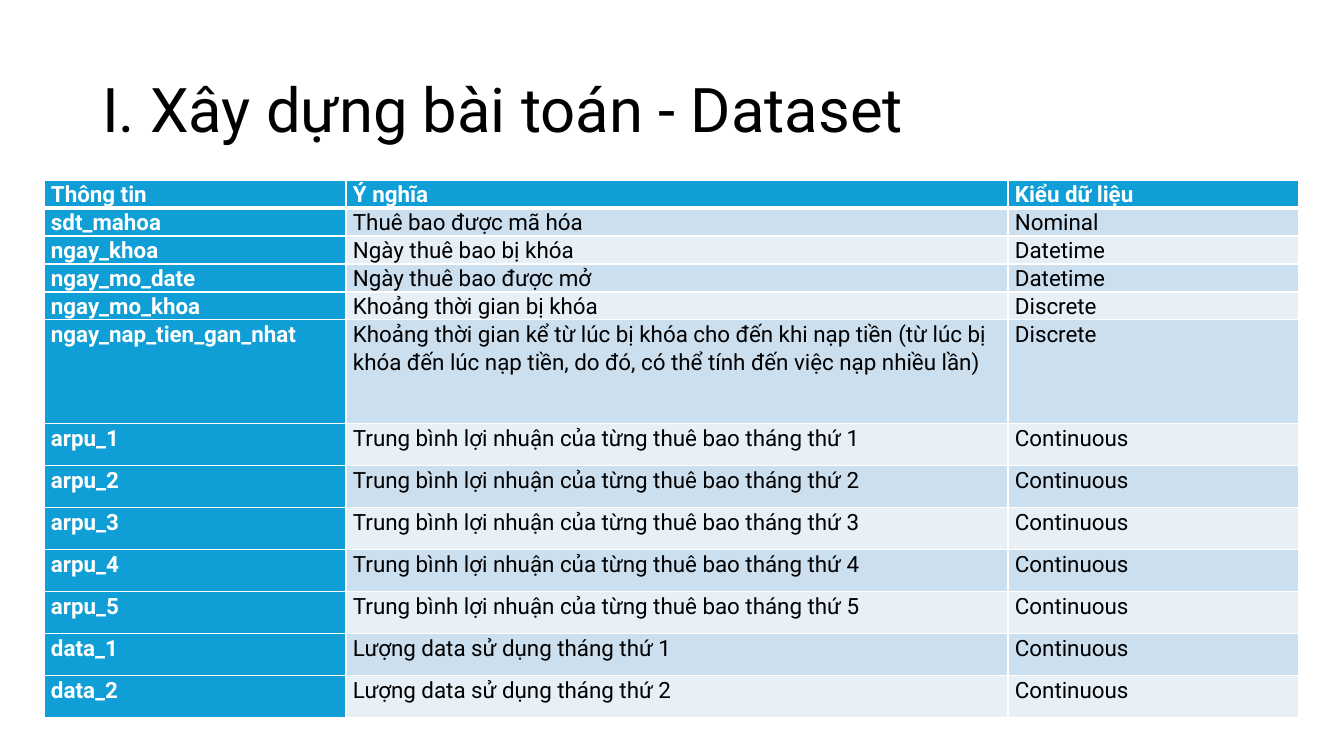
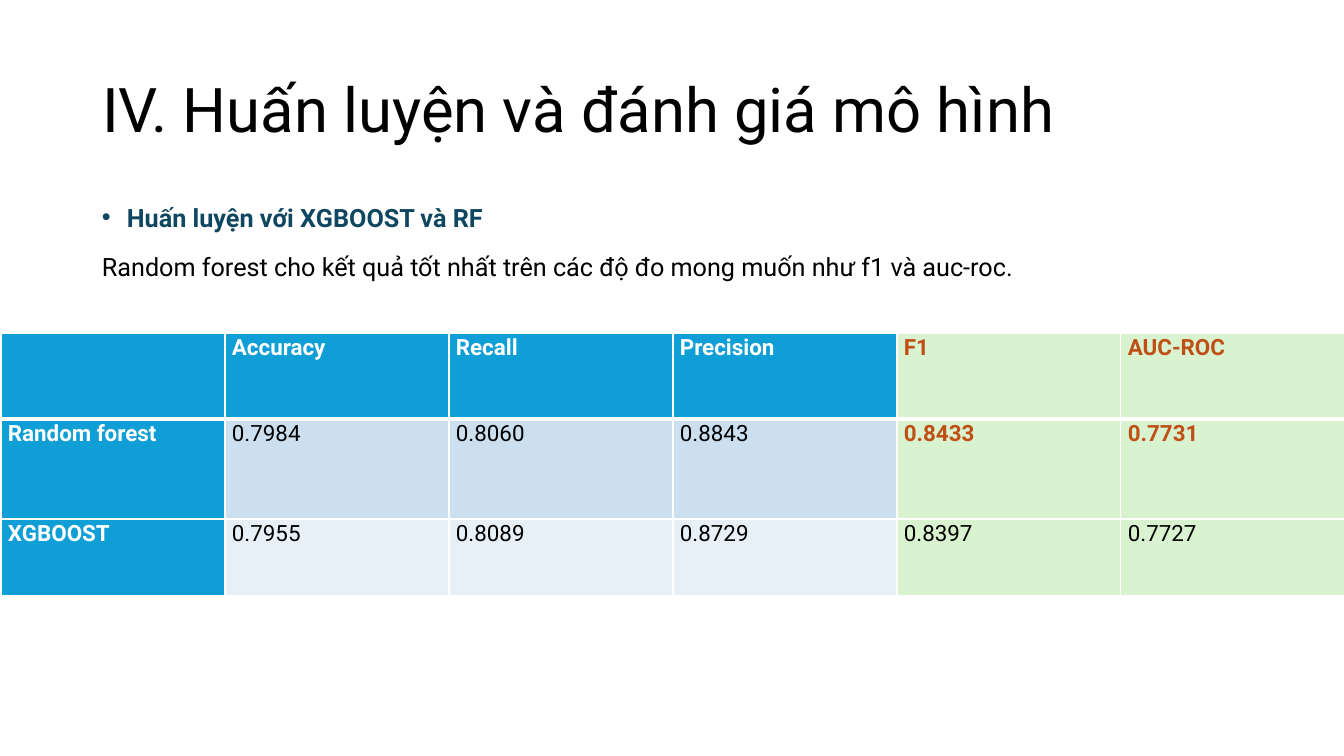
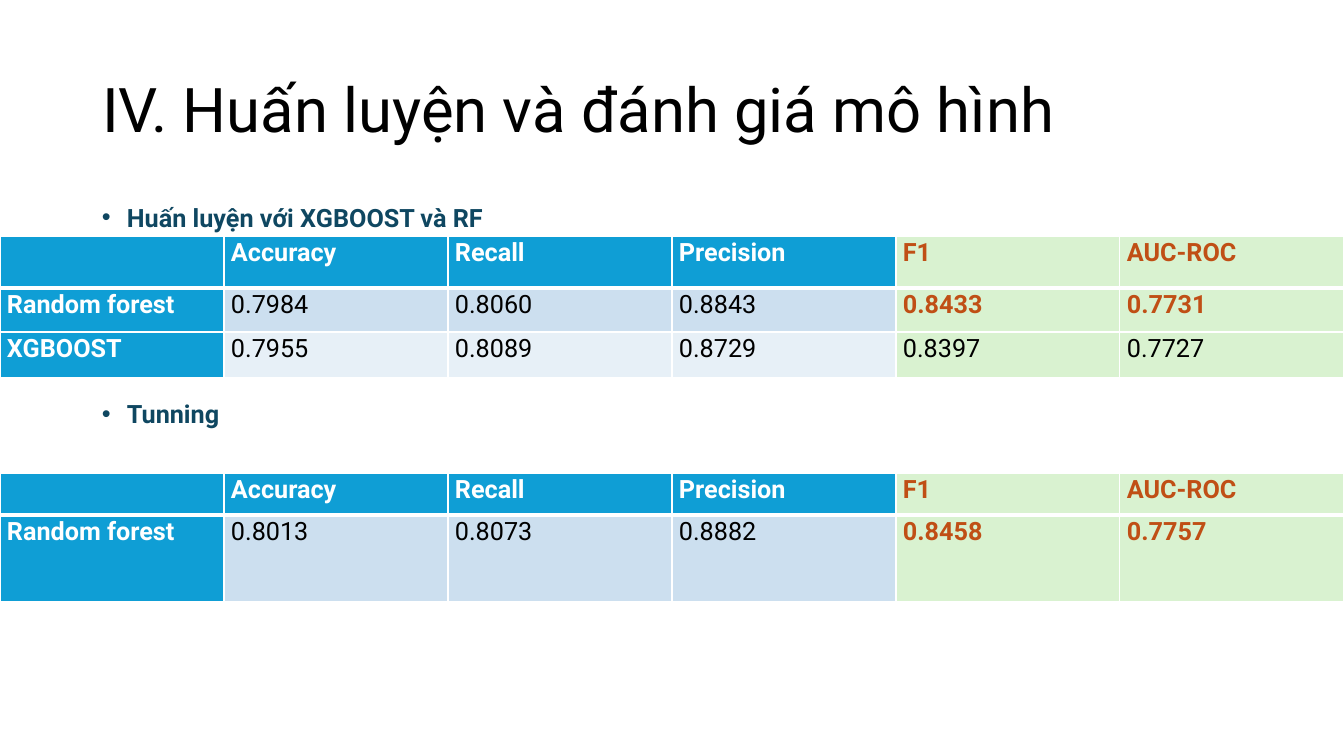
from lxml import etree
from pptx import Presentation
from pptx import util as u
from pptx.dml.color import RGBColor
from pptx.enum import text
from pptx.oxml.ns import qn

WIDTH, HEIGHT = 1344, 756
SCALE = u.Inches(7.5) / HEIGHT
FONT = "Roboto"
BLACK, WHITE, NAVY = "000000", "FFFFFF", "0F4761"
BLUE, GREEN, RUST = "0F9ED5", "D9F2D0", "C04F15"
BANDS = ("CCDFEF", "E7F0F7")


def px(size):
    return round(size * SCALE)


def hue(code):
    return RGBColor.from_string(code)


class Deck:
    """Holds the shared style and the current slide."""

    def __init__(self):
        self.file = Presentation()
        self.file.slide_width, self.file.slide_height = px(WIDTH), px(HEIGHT)

    def style(self, para, size, color, bold=False, line=1.07, before=0, after=0):
        para.alignment = text.PP_ALIGN.LEFT
        para.line_spacing = line
        para.space_before, para.space_after = u.Pt(before), u.Pt(after)
        for run in para.runs:
            font = run.font
            font.name, font.size, font.bold = FONT, u.Pt(size), bold
            font.color.rgb = hue(color)

    def slide(self, title):
        self.page = self.file.slides.add_slide(self.file.slide_layouts[5])
        shape = self.page.shapes.title
        shape.left, shape.top, shape.width, shape.height = map(px, (92, 40, 1159, 146))
        frame = shape.text_frame
        frame.text = title
        frame.auto_size = text.MSO_AUTO_SIZE.NONE
        frame.vertical_anchor = text.MSO_ANCHOR.MIDDLE
        self.style(frame.paragraphs[0], 44, BLACK, line=0.9)

    def body(self):
        box = self.page.shapes.add_textbox(*map(px, (92, 195, 1159, 486)))
        self.frame = box.text_frame
        self.frame.word_wrap = True

    def para(self, words, color=BLACK, bold=False, before=8):
        last = self.frame.paragraphs[-1]
        para = self.frame.add_paragraph() if last.text else last
        para.text = words
        self.style(para, 18, color, bold, before=before, after=4)
        return para

    def bullet(self, words, before=8):
        props = self.para(words, NAVY, True, before)._p.get_or_add_pPr()
        props.set("marL", str(px(25)))
        props.set("indent", str(px(-25)))
        etree.SubElement(props, qn("a:buFont")).set("typeface", "Arial")
        etree.SubElement(props, qn("a:buChar")).set("char", "•")

    def border(self, cell, row):
        props = cell._tc.get_or_add_tcPr()
        thick = {"T": row == 1, "B": row == 0}
        for side in "LRTB":
            line = etree.SubElement(props, qn("a:ln" + side))
            line.set("w", str(u.Pt(3 if thick.get(side) else 1)))
            fill = etree.SubElement(line, qn("a:solidFill"))
            etree.SubElement(fill, qn("a:srgbClr")).set("val", WHITE)

    def cell(self, cell, words, row, col, size, mark):
        head = row == 0 or col == 0
        fill = BLUE if head else BANDS[(row - 1) % 2]
        color = WHITE if head else BLACK
        bold = head
        if mark and col >= mark:
            fill, bold = GREEN, row < 2
            color = RUST if bold else BLACK
        self.border(cell, row)
        cell.fill.solid()
        cell.fill.fore_color.rgb = hue(fill)
        cell.margin_left = cell.margin_right = px(7)
        cell.margin_top = cell.margin_bottom = 0
        cell.text_frame.text = words
        self.style(cell.text_frame.paragraphs[0], size, color, bold, after=8)

    def table(self, left, top, cols, rows, data, size=16, mark=None):
        frame = self.page.shapes.add_table(
            len(rows), len(cols), px(left), px(top), px(sum(cols)), px(sum(rows)))
        grid = frame.table
        grid.first_row = grid.horz_banding = False
        for col, width in zip(grid.columns, cols):
            col.width = px(width)
        for row, height in zip(grid.rows, rows):
            row.height = px(height)
        for r, line in enumerate(data):
            for c, words in enumerate(line):
                self.cell(grid.cell(r, c), words, r, c, size, mark)

    def scores(self, left, top, rows, data, size):
        self.table(left, top, [WIDTH // 6] * 6, rows, [METRICS] + data, size, mark=4)


METRICS = ["", "Accuracy", "Recall", "Precision", "F1", "AUC-ROC"]
FIRST = [
    ["Random forest", "0.7984", "0.8060", "0.8843", "0.8433", "0.7731"],
    ["XGBOOST", "0.7955", "0.8089", "0.8729", "0.8397", "0.7727"],
]
TUNED = [["Random forest", "0.8013", "0.8073", "0.8882", "0.8458", "0.7757"]]
FIELDS = [
    ("Thông tin", "Ý nghĩa", "Kiểu dữ liệu"),
    ("sdt_mahoa", "Thuê bao được mã hóa", "Nominal"),
    ("ngay_khoa", "Ngày thuê bao bị khóa", "Datetime"),
    ("ngay_mo_date", "Ngày thuê bao được mở", "Datetime"),
    ("ngay_mo_khoa", "Khoảng thời gian bị khóa", "Discrete"),
    ("ngay_nap_tien_gan_nhat",
     "Khoảng thời gian kể từ lúc bị khóa cho đến khi nạp tiền (từ lúc bị khóa "
     "đến lúc nạp tiền, do đó, có thể tính đến việc nạp nhiều lần)", "Discrete"),
    *((f"arpu_{n}", f"Trung bình lợi nhuận của từng thuê bao tháng thứ {n}", "Continuous")
      for n in range(1, 6)),
    *((f"data_{n}", f"Lượng data sử dụng tháng thứ {n}", "Continuous") for n in (1, 2)),
]
TRAIN = "IV. Huấn luyện và đánh giá mô hình"
MODELS = "Huấn luyện với XGBOOST và RF"


def main():
    deck = Deck()

    deck.slide("I. Xây dựng bài toán - Dataset")
    deck.table(44, 180, [302, 662, 291], [28] * 5 + [104] + [42] * 7, FIELDS)

    deck.slide(TRAIN)
    deck.body()
    deck.bullet(MODELS)
    deck.para("Random forest cho kết quả tốt nhất trên các độ đo mong muốn như f1 và auc-roc.")
    deck.scores(1, 333, [86, 100, 77], FIRST, 16)

    deck.slide(TRAIN)
    deck.body()
    deck.bullet(MODELS)
    deck.bullet("Tunning", before=113)
    deck.scores(0, 236, [52, 44, 46], FIRST, 18)
    deck.scores(0, 473, [42, 87], TUNED, 18)

    deck.file.save("out.pptx")


if __name__ == "__main__":
    main()
